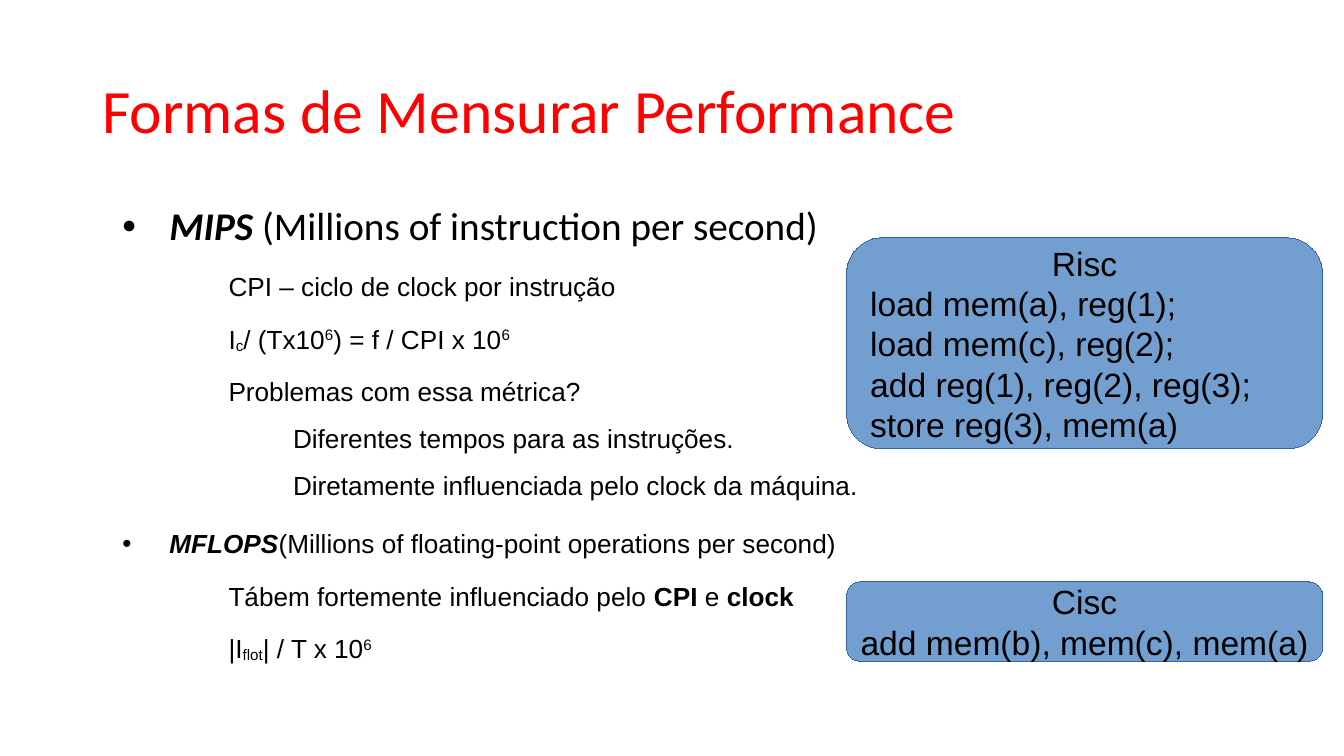
from dataclasses import dataclass

from lxml.etree import SubElement
from pptx import Presentation
from pptx.dml.color import RGBColor
from pptx.enum.shapes import MSO_SHAPE
from pptx.enum.text import MSO_ANCHOR, PP_ALIGN
from pptx.oxml.ns import qn
from pptx.util import Inches, Pt


@dataclass(frozen=True)
class Theme:
    title_color: RGBColor = RGBColor(0xFF, 0x00, 0x00)
    text_color: RGBColor = RGBColor(0x00, 0x00, 0x00)
    box_fill: RGBColor = RGBColor(0x72, 0x9F, 0xCF)
    box_line: RGBColor = RGBColor(0x34, 0x65, 0xA4)
    heading_font: str = "Calibri"
    body_font: str = "Arial"
    title_size: float = 33
    lead_size: float = 21
    body_size: float = 14
    code_size: float = 18


THEME = Theme()

RUN_STYLES = {
    "plain": {},
    "bold": {"bold": True},
    "term": {"bold": True, "italic": True},
    "sub": {"baseline": -8},
    "super": {"baseline": 33},
}

LEVELS = {
    "lead": {"margin": 0.5, "space": 8, "spacing": 0.9, "bullet": True},
    "topic": {"margin": 0.5, "space": 14.2, "spacing": 1.0, "bullet": True},
    "item": {"margin": 0.94, "space": 11.3, "spacing": 1.0, "bullet": False},
    "detail": {"margin": 1.42, "space": 8.5, "spacing": 1.0, "bullet": False},
}

OUTLINE = [
    ("lead", [("MIPS ", "term"), ("(Millions of instruction per second)", "plain")]),
    ("item", [("CPI – ciclo de clock por instrução", "plain")]),
    ("item", [("I", "plain"), ("c", "sub"), ("/ (Tx10", "plain"), ("6", "super"),
              (") = f / CPI x 10", "plain"), ("6", "super")]),
    ("item", [("Problemas com essa métrica?", "plain")]),
    ("detail", [("Diferentes tempos para as instruções.", "plain")]),
    ("detail", [("Diretamente influenciada pelo clock da máquina.", "plain")]),
    ("topic", [("MFLOPS", "term"),
               ("(Millions of floating-point operations per second)", "plain")]),
    ("item", [("Tábem fortemente influenciado pelo ", "plain"), ("CPI", "bold"),
              (" e ", "plain"), ("clock", "bold")]),
    ("item", [("|I", "plain"), ("flot", "sub"), ("| / T x 10", "plain"), ("6", "super")]),
]

CISC_CODE = ["add mem(b), mem(c), mem(a)"]
RISC_CODE = [
    "load mem(a), reg(1);",
    "load mem(c), reg(2);",
    "add reg(1), reg(2), reg(3);",
    "store reg(3), mem(a)",
]


def apply_format(target, values):
    for name, value in values.items():
        setattr(target, name, value)


def format_frame(frame, horizontal, vertical, anchor, wrap):
    apply_format(frame, {
        "margin_left": Inches(horizontal), "margin_right": Inches(horizontal),
        "margin_top": Inches(vertical), "margin_bottom": Inches(vertical),
        "vertical_anchor": anchor, "word_wrap": wrap,
    })


def add_run(paragraph, text, font_name, size, color, style="plain"):
    run = paragraph.add_run()
    run.text = text
    values = dict(RUN_STYLES[style])
    baseline = values.pop("baseline", None)
    apply_format(run.font, {"name": font_name, "size": Pt(size), **values})
    run.font.color.rgb = color
    if baseline is not None:
        run._r.get_or_add_rPr().set("baseline", str(baseline * 1000))


def next_paragraph(frame, index):
    return frame.paragraphs[0] if index == 0 else frame.add_paragraph()


def format_level(paragraph, level):
    apply_format(paragraph, {
        "space_before": Pt(level["space"]), "line_spacing": level["spacing"],
    })
    properties = paragraph._p.get_or_add_pPr()
    properties.set("marL", str(Inches(level["margin"])))
    if level["bullet"]:
        properties.set("indent", str(Inches(-0.35)))
        SubElement(properties, qn("a:buFont"), typeface="Arial")
        SubElement(properties, qn("a:buChar"), char="•")


def add_title(slide, box, text):
    frame = slide.shapes.add_textbox(*map(Inches, box)).text_frame
    format_frame(frame, 0.07, 0.04, MSO_ANCHOR.MIDDLE, True)
    paragraph = frame.paragraphs[0]
    paragraph.line_spacing = 0.9
    add_run(paragraph, text, THEME.heading_font, THEME.title_size, THEME.title_color)


def add_outline(slide, box, outline):
    frame = slide.shapes.add_textbox(*map(Inches, box)).text_frame
    format_frame(frame, 0.07, 0.04, MSO_ANCHOR.TOP, True)
    for index, (level, runs) in enumerate(outline):
        paragraph = next_paragraph(frame, index)
        format_level(paragraph, LEVELS[level])
        is_lead = level == "lead"
        font_name = THEME.heading_font if is_lead else THEME.body_font
        size = THEME.lead_size if is_lead else THEME.body_size
        for text, style in runs:
            add_run(paragraph, text, font_name, size, THEME.text_color, style)


def add_code_box(slide, box, heading, code, code_alignment):
    shape = slide.shapes.add_shape(MSO_SHAPE.ROUNDED_RECTANGLE, *map(Inches, box))
    shape.shadow.inherit = False
    shape.fill.solid()
    shape.fill.fore_color.rgb = THEME.box_fill
    shape.line.color.rgb = THEME.box_line
    shape._element.spPr.find(qn("a:ln")).set("w", "0")
    frame = shape.text_frame
    format_frame(frame, 0.1, 0.05, MSO_ANCHOR.MIDDLE, False)
    for index, text in enumerate([heading, *code]):
        paragraph = next_paragraph(frame, index)
        paragraph.alignment = code_alignment if index else PP_ALIGN.CENTER
        add_run(paragraph, text, THEME.body_font, THEME.code_size, THEME.text_color)


def main():
    presentation = Presentation()
    presentation.slide_width = Inches(10)
    presentation.slide_height = Inches(10 * 9 / 16)
    slide = presentation.slides.add_slide(presentation.slide_layouts[6])
    add_title(slide, (0.69, 0.3, 8.62, 1.09), "Formas de Mensurar Performance")
    add_outline(slide, (0.69, 1.5, 8.62, 3.57), OUTLINE)
    add_code_box(slide, (6.3, 4.33, 3.54, 0.59), "Cisc", CISC_CODE, PP_ALIGN.CENTER)
    add_code_box(slide, (6.3, 1.77, 3.54, 1.57), "Risc", RISC_CODE, PP_ALIGN.LEFT)
    presentation.save("out.pptx")


if __name__ == "__main__":
    main()
